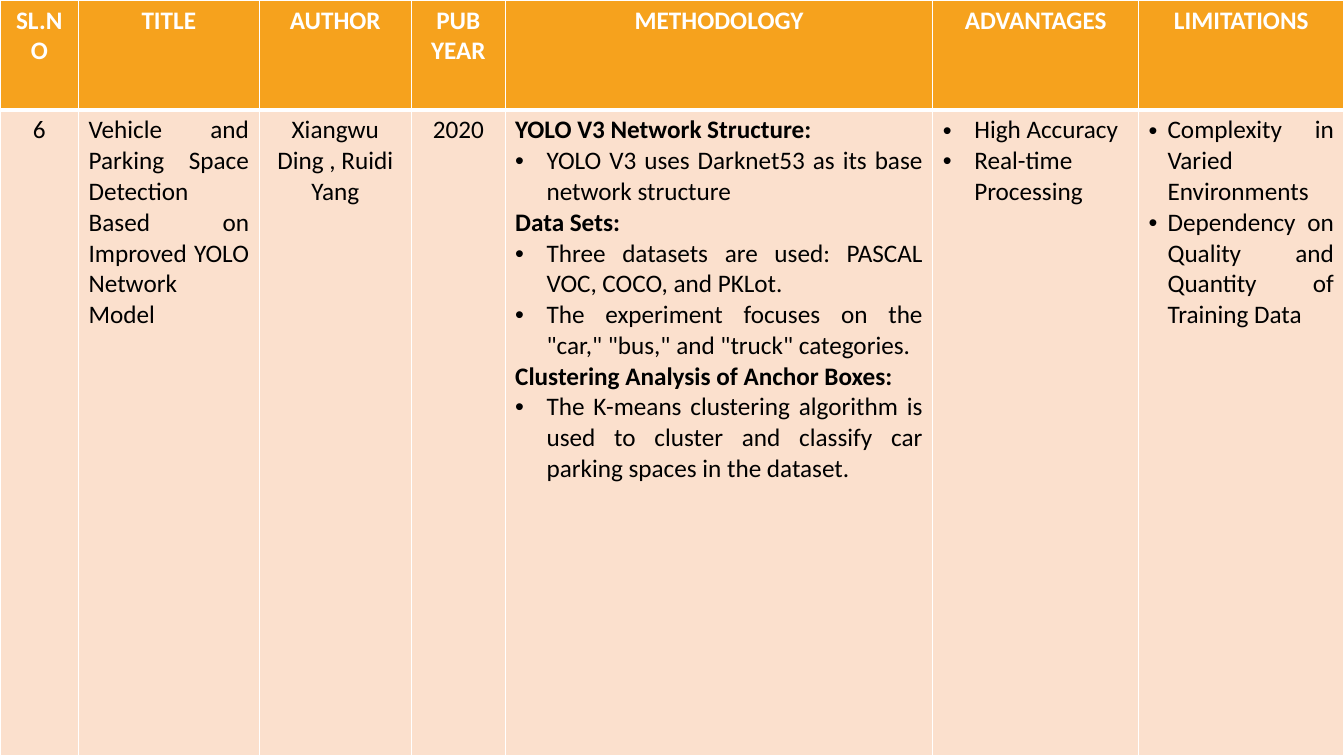
"""Build a literature survey slide with one reviewed paper in a table."""
from dataclasses import dataclass

import pptx
import pptx.dml.color
import pptx.enum.text
import pptx.oxml.ns
import pptx.table
import pptx.text.text
import pptx.util
from lxml import etree

Cm = pptx.util.Cm
Pt = pptx.util.Pt
RGBColor = pptx.dml.color.RGBColor
Align = pptx.enum.text.PP_ALIGN
qn = pptx.oxml.ns.qn

WHITE = RGBColor(0xFF, 0xFF, 0xFF)
BLACK = RGBColor(0, 0, 0)
ORANGE = RGBColor(0xF6, 0xA2, 0x1D)
PEACH = RGBColor(0xFB, 0xE0, 0xCD)
BACKDROP = RGBColor(0xF2, 0xF2, 0xF2)

SLIDE_WIDTH, SLIDE_HEIGHT = Cm(33.87), Cm(19.05)
HEADER_HEIGHT = Cm(2.77)
THIN, THICK = Pt(1), Pt(3)
WIDE_INDENT, NARROW_INDENT = Cm(0.79), Cm(0.48)


@dataclass(frozen=True)
class Entry:
    text: str
    align: Align = Align.JUSTIFY
    bold: bool = False
    indent: int = 0


@dataclass(frozen=True)
class Column:
    heading: str
    width: float
    entries: tuple[Entry, ...]


SURVEY = (
    Column("SL.NO", 1.98, (Entry("6", Align.CENTER),)),
    Column("TITLE", 4.55, (
        Entry("Vehicle and Parking Space Detection Based on Improved YOLO Network Model "),
    )),
    Column("AUTHOR", 3.84, (Entry("Xiangwu Ding , Ruidi Yang", Align.CENTER),)),
    Column("PUB YEAR", 2.36, (Entry("2020", Align.CENTER),)),
    Column("METHODOLOGY", 10.78, (
        Entry("YOLO V3 Network Structure:", bold=True),
        Entry("YOLO V3 uses Darknet53 as its base network structure ", indent=WIDE_INDENT),
        Entry("Data Sets:", bold=True),
        Entry("Three datasets are used: PASCAL VOC, COCO, and PKLot.", indent=WIDE_INDENT),
        Entry('The experiment focuses on the "car," "bus," and "truck" categories.',
              indent=WIDE_INDENT),
        Entry("Clustering Analysis of Anchor Boxes:", bold=True),
        Entry("The K-means clustering algorithm is used to cluster and classify car "
              "parking spaces in the dataset.", indent=WIDE_INDENT),
    )),
    Column("ADVANTAGES", 5.18, (
        Entry("High Accuracy", indent=WIDE_INDENT),
        Entry("Real-time Processing", indent=WIDE_INDENT),
    )),
    Column("LIMITATIONS", 5.18, (
        Entry("Complexity in Varied Environments", indent=NARROW_INDENT),
        Entry("Dependency on Quality and Quantity of Training Data", indent=NARROW_INDENT),
    )),
)


def add_bullet(paragraph: pptx.text.text._Paragraph, indent: int) -> None:
    properties = paragraph._p.get_or_add_pPr()
    properties.set("marL", str(indent))
    properties.set("indent", str(-indent))
    etree.SubElement(properties, qn("a:buFont")).set("typeface", "Arial")
    etree.SubElement(properties, qn("a:buChar")).set("char", "•")


def set_borders(cell: pptx.table._Cell, top: int, bottom: int) -> None:
    properties = cell._tc.get_or_add_tcPr()
    for side, width in (("L", THIN), ("R", THIN), ("T", top), ("B", bottom)):
        border = etree.SubElement(properties, qn(f"a:ln{side}"), w=str(width))
        paint = etree.SubElement(border, qn("a:solidFill"))
        etree.SubElement(paint, qn("a:srgbClr")).set("val", str(WHITE))


def fill_cell(cell: pptx.table._Cell, entries: tuple[Entry, ...], fill: RGBColor,
              ink: RGBColor, top: int, bottom: int) -> None:
    set_borders(cell, top, bottom)
    cell.fill.solid()
    cell.fill.fore_color.rgb = fill
    cell.text = "\n".join(entry.text for entry in entries)
    for paragraph, entry in zip(cell.text_frame.paragraphs, entries):
        paragraph.alignment = entry.align
        if entry.indent:
            add_bullet(paragraph, entry.indent)
        paragraph.font.name = "Calibri"
        paragraph.font.size = Pt(18)
        paragraph.font.bold = entry.bold
        paragraph.font.color.rgb = ink


def main() -> None:
    deck = pptx.Presentation()
    deck.slide_width, deck.slide_height = SLIDE_WIDTH, SLIDE_HEIGHT
    slide = deck.slides.add_slide(deck.slide_layouts[6])
    slide.background.fill.solid()
    slide.background.fill.fore_color.rgb = BACKDROP

    survey = slide.shapes.add_table(
        2, len(SURVEY), Cm(0), Cm(0), SLIDE_WIDTH, SLIDE_HEIGHT).table
    survey.rows[0].height = HEADER_HEIGHT
    survey.rows[1].height = SLIDE_HEIGHT - HEADER_HEIGHT
    for index, column in enumerate(SURVEY):
        survey.columns[index].width = Cm(column.width)
        heading = (Entry(column.heading, Align.CENTER, bold=True),)
        fill_cell(survey.cell(0, index), heading, ORANGE, WHITE, THIN, THICK)
        fill_cell(survey.cell(1, index), column.entries, PEACH, BLACK, THICK, THIN)
    deck.save("out.pptx")


if __name__ == "__main__":
    main()
